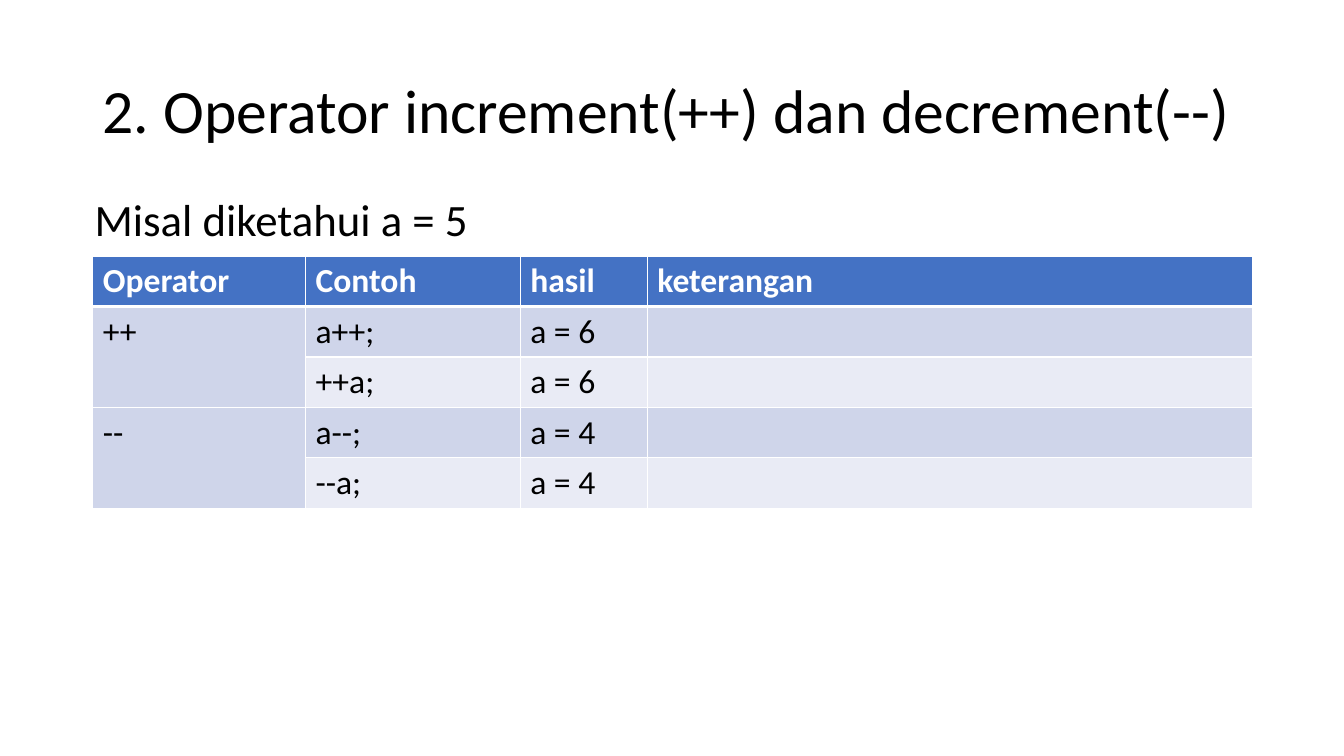
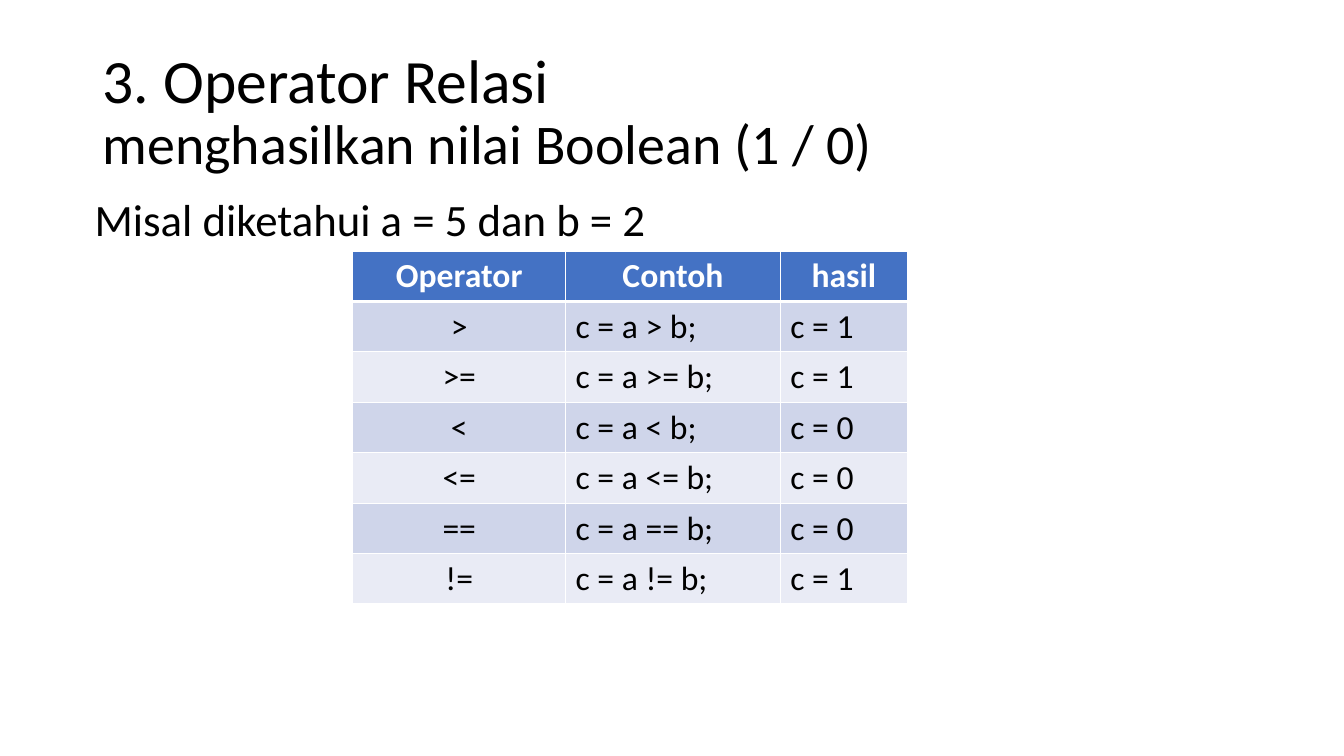
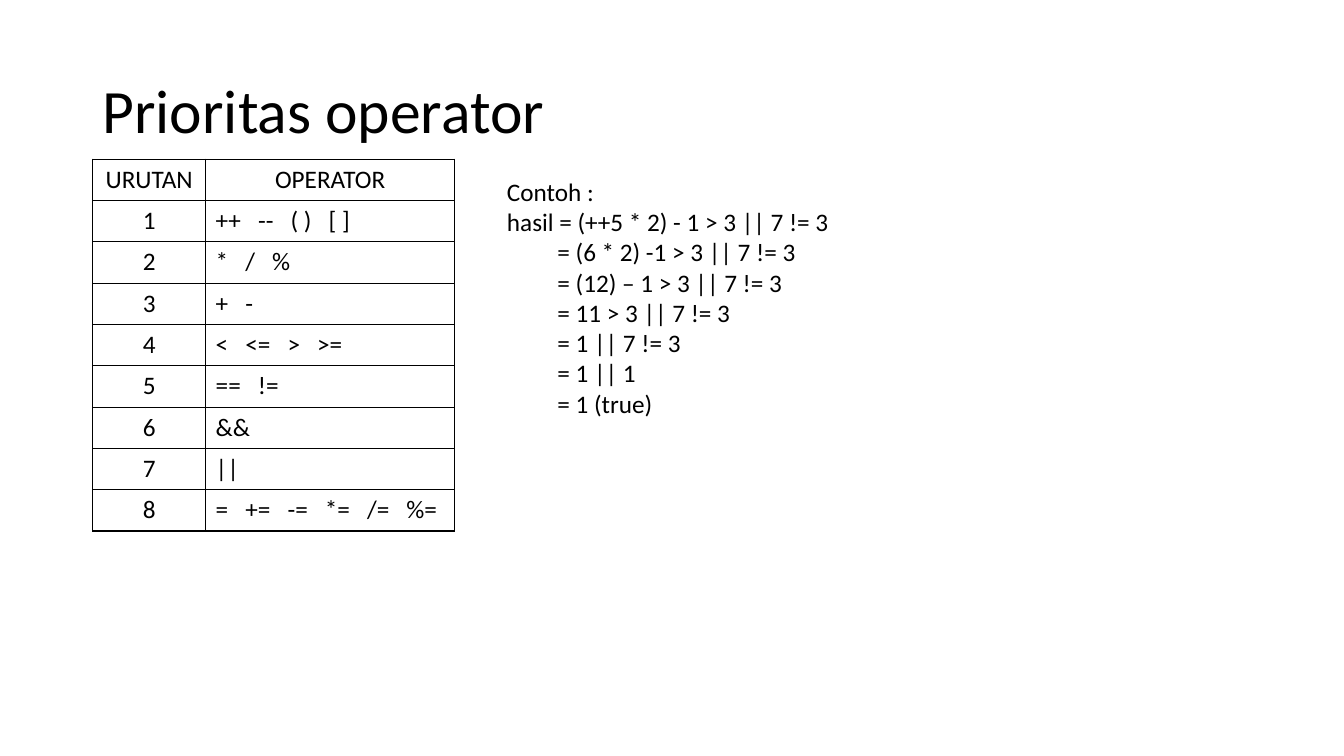
from lxml.etree import SubElement
from pptx import Presentation
from pptx.dml.color import RGBColor
from pptx.enum.text import MSO_ANCHOR, PP_ALIGN
from pptx.oxml.ns import qn
from pptx.util import Inches, Pt

BLACK, WHITE = "000000", "FFFFFF"
HEADER, BANDS = "4472C4", ("CFD5EA", "E9EBF5")
COLUMNS = (2.11, 2.13, 1.26)


def color(value):
    return RGBColor.from_string(value)


class Deck:
    FONT = "Calibri"
    BORDERS = ("lnL", "lnR", "lnT", "lnB")

    def __init__(self):
        self.deck = Presentation()
        self.deck.slide_width, self.deck.slide_height = Inches(13.33), Inches(7.5)
        self.page = None

    def slide(self, title):
        self.page = self.deck.slides.add_slide(self.deck.slide_layouts[6])
        frame = self.box(0.92, 0.4, 11.5, 1.45)
        frame.vertical_anchor = MSO_ANCHOR.MIDDLE
        para = frame.paragraphs[0]
        para.line_spacing = 0.9
        for index, (text, size) in enumerate(title):
            if index:
                para.add_line_break()
            self.span(para, text, size)

    def box(self, left, top, width, height):
        box = self.page.shapes.add_textbox(*map(Inches, (left, top, width, height)))
        box.text_frame.word_wrap = True
        return box.text_frame

    def span(self, para, text, size, ink=BLACK, bold=False):
        span = para.add_run()
        span.text = text
        for name, value in {"name": self.FONT, "size": Pt(size), "bold": bold}.items():
            setattr(span.font, name, value)
        span.font.color.rgb = color(ink)
        return span

    def text(self, left, top, width, height, lines, size, indents=None):
        frame = self.box(left, top, width, height)
        for index, line in enumerate(lines):
            para = frame.add_paragraph() if index else frame.paragraphs[0]
            self.span(para, line, size)
            if indents and indents[index]:
                para._p.get_or_add_pPr().set("marL", str(Inches(indents[index])))

    def spaced(self, para, symbols, size, ink, bold):
        for index, symbol in enumerate(symbols):
            if index:
                gap = self.span(para, " ", size, ink, bold)
                gap._r.get_or_add_rPr().set("spc", "810")
            self.span(para, symbol, size, ink, bold)

    def border(self, cell, ink, widths):
        properties = cell._tc.get_or_add_tcPr()
        for side in self.BORDERS:
            line = SubElement(properties, qn("a:" + side), w=str(Pt(widths.get(side, 1))))
            fill = SubElement(line, qn("a:solidFill"))
            SubElement(fill, qn("a:srgbClr"), val=ink)

    def table(self, left, top, columns, row_height, rows, size, banded=True, centred=True, merges=()):
        height = row_height * len(rows)
        shape = self.page.shapes.add_table(
            len(rows), len(columns), *map(Inches, (left, top, sum(columns), height)))
        table = shape.table
        table.first_row = banded
        table.horz_banding = False
        for column, width in zip(table.columns, columns):
            column.width = Inches(width)
        for r, row in enumerate(rows):
            heading = banded and r == 0
            edges = {0: {"lnB": 3}, 1: {"lnT": 3}}.get(r, {}) if banded else {}
            for c, content in enumerate(row):
                cell = table.cell(r, c)
                self.border(cell, WHITE if banded else BLACK, edges)
                if banded:
                    cell.fill.solid()
                    cell.fill.fore_color.rgb = color(HEADER if heading else BANDS[(r - 1) % 2])
                else:
                    cell.fill.background()
                para = cell.text_frame.paragraphs[0]
                if centred and (r == 0 or c == 0):
                    para.alignment = PP_ALIGN.CENTER
                if content:
                    symbols = [content] if isinstance(content, str) else content
                    self.spaced(para, symbols, size, WHITE if heading else BLACK, heading)
        for first, last in merges:
            table.cell(first, 0).merge(table.cell(last, 0))


def main():
    show = Deck()

    show.slide([("2. Operator increment(++) dan decrement(--)", 44)])
    show.table(0.92, 2.54, COLUMNS + (6,), 0.5, [
        ("Operator", "Contoh", "hasil", "keterangan"),
        ("++", "a++;", "a = 6", ""),
        ("", "++a;", "a = 6", ""),
        ("--", "a--;", "a = 4", ""),
        ("", "--a;", "a = 4", ""),
    ], 24, centred=False, merges=[(1, 2), (3, 4)])
    show.text(0.84, 1.85, 6.21, 0.64, ["Misal diketahui a = 5"], 32)

    show.slide([("3. Operator Relasi", 44), ("menghasilkan nilai Boolean (1 / 0)", 40)])
    results = {">": 1, ">=": 1, "<": 0, "<=": 0, "==": 0, "!=": 1}
    relations = [(sign, f"c = a {sign} b;", f"c = {result}") for sign, result in results.items()]
    show.table(3.5, 2.49, COLUMNS, 0.5, [("Operator", "Contoh", "hasil")] + relations, 24)
    show.text(0.84, 1.85, 9.84, 0.64, ["Misal diketahui a = 5 dan b = 2"], 32)

    show.slide([("Prioritas operator", 44)])
    priorities = [
        ("++", "--", "( )", "[ ]"),
        ("*", "/", "%"),
        ("+", "-"),
        ("<", "<=", ">", ">="),
        ("==", "!="),
        ("&&",),
        ("||",),
        ("=", "+=", "-=", "*=", "/=", "%="),
    ]
    ranks = [(str(rank), symbols) for rank, symbols in enumerate(priorities, 1)]
    show.table(0.92, 1.58, (1.12, 2.47), 0.41, [("URUTAN", "OPERATOR")] + ranks, 18, banded=False)
    steps = [
        "= (6 * 2) -1 > 3 || 7 != 3",
        "= (12) – 1 > 3 || 7 != 3",
        "= 11 > 3 || 7 != 3",
        "= 1 || 7 != 3",
        "= 1 || 1",
        "= 1 (true)",
    ]
    opening = ["Contoh :", "hasil = (++5 * 2) - 1 > 3 || 7 != 3"]
    indents = [0] * len(opening) + [0.5] * len(steps)
    show.text(4.93, 1.7, 7.78, 2.83, opening + steps, 18, indents)

    show.deck.save("out.pptx")


if __name__ == "__main__":
    main()
